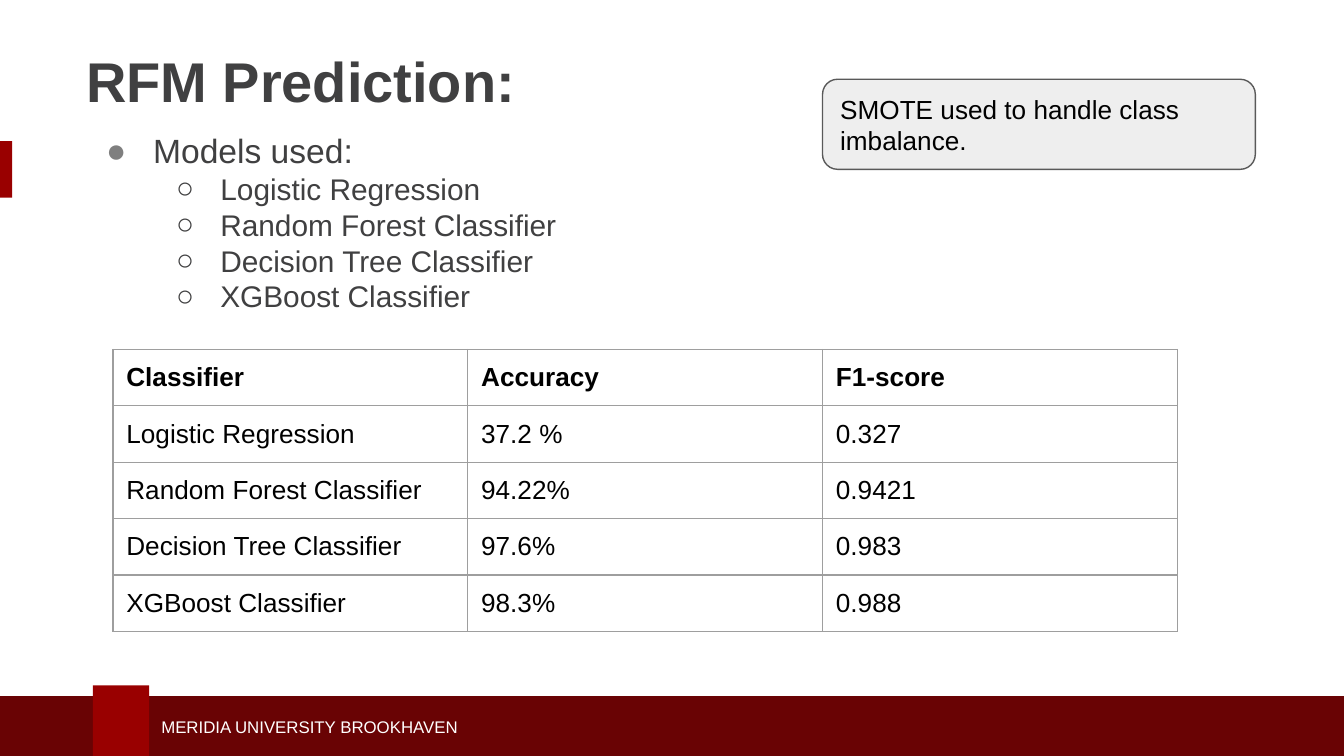
from pptx import Presentation
from pptx.dml.color import RGBColor as RGB
from pptx.enum.shapes import MSO_SHAPE as Kind
from pptx.enum.text import MSO_ANCHOR as Anchor, PP_ALIGN as Align
from pptx.oxml import parse_xml
from pptx.oxml.ns import nsdecls
from pptx.util import Inches, Pt

FONT = "Arial"
COLORS = {
    "red": "990000",
    "dark": "690304",
    "text": "404041",
    "dot": "7F7F7F",
    "black": "000000",
    "white": "FFFFFF",
    "grid": "9E9E9E",
    "note": "EEEEEE",
    "edge": "595959",
}
MODELS = [
    ("Logistic Regression", "37.2 %", "0.327"),
    ("Random Forest Classifier", "94.22%", "0.9421"),
    ("Decision Tree Classifier", "97.6%", "0.983"),
    ("XGBoost Classifier", "98.3%", "0.988"),
]
HEAD = ("Classifier", "Accuracy", "F1-score")


def color(name):
    return RGB.from_string(COLORS[name])


def write(para, text, size=14, tint="black", bold=False, space=None):
    """Put formatted text in a paragraph."""
    run = para.add_run()
    run.text = text
    font = run.font
    font.name, font.size, font.bold = FONT, Pt(size), bold
    font.color.rgb = color(tint)
    para.alignment = Align.LEFT
    if space:
        para.line_spacing = space


def add_bar(slide, box, fill, kind=Kind.RECTANGLE, line=None):
    bar = slide.shapes.add_shape(kind, *map(Inches, box))
    bar.shadow.inherit = False
    bar.fill.solid()
    bar.fill.fore_color.rgb = color(fill)
    if line:
        bar.line.color.rgb = color(line)
        bar.line.width = Pt(0.75)
    else:
        bar.line.fill.background()
    return bar


def set_frame(frame, side, top, anchor):
    frame.word_wrap = True
    frame.margin_left = frame.margin_right = Inches(side)
    frame.margin_top = frame.margin_bottom = Inches(top)
    frame.vertical_anchor = anchor
    return frame


def add_box(slide, box, anchor=Anchor.MIDDLE):
    shape = slide.shapes.add_textbox(*map(Inches, box))
    return set_frame(shape.text_frame, 0.07, 0.04, anchor)


def add_bullet(para, mark, tint, left, hang):
    props = para._p.get_or_add_pPr()
    props.set("marL", str(Inches(left)))
    props.set("indent", str(-Inches(hang)))
    for tag in (
        f'<a:buClr {nsdecls("a")}><a:srgbClr val="{COLORS[tint]}"/></a:buClr>',
        f'<a:buFont {nsdecls("a")} typeface="{FONT}"/>',
        f'<a:buChar {nsdecls("a")} char="{mark}"/>',
    ):
        props.append(parse_xml(tag))


def add_list(slide):
    frame = add_box(slide, (0.57, 0.93, 8.77, 3.93), Anchor.TOP)
    para = frame.paragraphs[0]
    write(para, "Models used:", size=18, tint="text")
    add_bullet(para, "●", "dot", 0.5, 0.35)
    for name, *_ in MODELS:
        para = frame.add_paragraph()
        para.level = 1
        write(para, name, size=16, tint="text")
        add_bullet(para, "○", "text", 1, 0.33)


def add_borders(cell):
    props = cell._tc.get_or_add_tcPr()
    for side in "LRTB":
        props.append(parse_xml(
            f'<a:ln{side} {nsdecls("a")} w="{Pt(0.75)}"><a:solidFill>'
            f'<a:srgbClr val="{COLORS["grid"]}"/></a:solidFill></a:ln{side}>'
        ))


def add_scores(slide):
    rows = [HEAD, *MODELS]
    wide, high = 2.64, 0.42
    box = (0.84, 2.6, wide * len(HEAD), high * len(rows))
    table = slide.shapes.add_table(
        len(rows), len(HEAD), *map(Inches, box)).table
    table.first_row = table.horz_banding = False
    for r, row in enumerate(rows):
        for c, text in enumerate(row):
            cell = table.cell(r, c)
            cell.margin_left = cell.margin_right = Inches(0.1)
            # A smaller bottom margin keeps the row at its set height
            cell.margin_top, cell.margin_bottom = Inches(0.1), Inches(0.08)
            write(cell.text_frame.paragraphs[0], text, bold=r == 0)
            add_borders(cell)
            cell.fill.background()


def main():
    deck = Presentation()
    deck.slide_width = Inches(10)
    deck.slide_height = Inches(10) * 9 // 16
    slide = deck.slides.add_slide(deck.slide_layouts[6])

    # Side mark and footer
    add_bar(slide, (0, 1.05, 0.09, 0.42), "red")
    add_bar(slide, (0, 5.18, 10, 0.45), "dark")
    add_bar(slide, (0.69, 5.1, 0.42, 0.53), "red")
    foot = add_box(slide, (1.13, 5.29, 3.95, 0.23))
    write(foot.paragraphs[0], "MERIDIA UNIVERSITY BROOKHAVEN",
          size=9, tint="white")

    # Title and list of models
    title = add_box(slide, (0.57, 0.25, 8.75, 0.76))
    write(title.paragraphs[0], "RFM Prediction:",
          size=30, tint="text", bold=True, space=0.9)
    add_list(slide)

    # Scores
    add_scores(slide)

    # Note on class balance
    note = add_bar(slide, (6.12, 0.59, 3.22, 0.67), "note",
                   Kind.ROUNDED_RECTANGLE, "edge")
    frame = set_frame(note.text_frame, 0.1, 0.1, Anchor.MIDDLE)
    write(frame.paragraphs[0], "SMOTE used to handle class imbalance.")

    deck.save("out.pptx")


if __name__ == "__main__":
    main()
